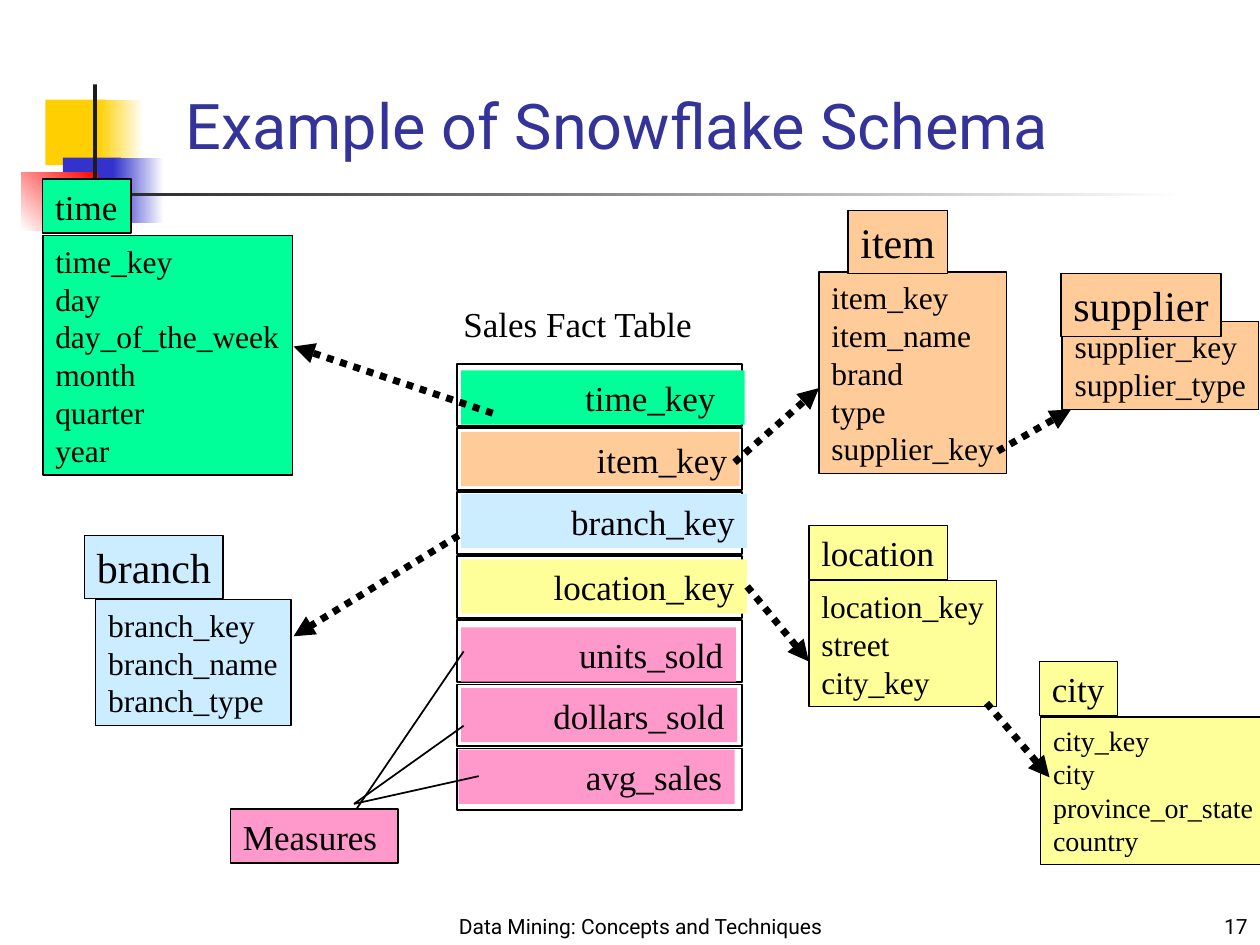
from lxml.etree import SubElement
from pptx import Presentation
from pptx.dml.color import RGBColor
from pptx.enum.dml import MSO_LINE
from pptx.enum.shapes import MSO_CONNECTOR, MSO_SHAPE
from pptx.enum.text import MSO_ANCHOR, PP_ALIGN
from pptx.oxml.ns import qn
from pptx.util import Inches, Pt

BLACK = RGBColor(0x00, 0x00, 0x00)
WHITE = RGBColor(0xFF, 0xFF, 0xFF)
CHARCOAL = RGBColor(0x1C, 0x1C, 0x1C)
NAVY = RGBColor(0x33, 0x33, 0x99)
GOLD = RGBColor(0xFF, 0xCF, 0x01)
BLUE = RGBColor(0x33, 0x33, 0xCC)
RED = RGBColor(0xFF, 0x00, 0x00)
GREEN = RGBColor(0x00, 0xFF, 0x99)
PEACH = RGBColor(0xFF, 0xCC, 0x99)
SKY = RGBColor(0xCC, 0xEC, 0xFF)
YELLOW = RGBColor(0xFF, 0xFF, 0x99)
PINK = RGBColor(0xFF, 0x99, 0xCC)
SERIF, SANS = "Times New Roman", "Roboto"


def inches(box):
    return [Inches(value) for value in box]


def write(shape, lines, size, font=SERIF, color=BLACK, align=PP_ALIGN.LEFT,
          anchor=MSO_ANCHOR.TOP, wrap=True):
    frame = shape.text_frame
    frame.text = "\n".join(lines)
    frame.word_wrap = wrap
    frame.vertical_anchor = anchor
    for para in frame.paragraphs:
        para.alignment = align
        for name, value in {"name": font, "size": Pt(size)}.items():
            setattr(para.font, name, value)
        para.font.color.rgb = color


def add_box(shapes, box, fill=None, line=None):
    """Rectangle with an optional fill colour and outline width in points."""
    shape = shapes.add_shape(MSO_SHAPE.RECTANGLE, *inches(box))
    shape.shadow.inherit = False
    if fill is None:
        shape.fill.background()
    else:
        shape.fill.solid()
        shape.fill.fore_color.rgb = fill
    if line is None:
        shape.line.fill.background()
    else:
        shape.line.color.rgb = BLACK
        shape.line.width = Pt(line)
    return shape


def add_gradient(shapes, box, colors, angle):
    shape = add_box(shapes, box)
    shape.fill.gradient()
    shape.fill.gradient_angle = angle
    for stop, color in zip(shape.fill.gradient_stops, colors):
        stop.color.rgb = color


def add_line(page, start, end, width):
    line = page.shapes.add_connector(MSO_CONNECTOR.STRAIGHT, *inches(start + end))
    line.line.color.rgb = BLACK
    line.line.width = Pt(width)
    SubElement(line._element.spPr, qn("a:effectLst"))
    return line


def add_arrow(page, start, end):
    arrow = add_line(page, start, end, 4)
    arrow.line.dash_style = MSO_LINE.ROUND_DOT
    SubElement(arrow.line._get_or_add_ln(), qn("a:tailEnd"), type="triangle")
    return arrow


def add_ornament(page, left, top):
    """Coloured squares and rules beside the title."""
    shapes = page.shapes
    add_box(shapes, (left + 0.19, top + 0.12, 0.48, 0.52), GOLD)
    add_gradient(shapes, (left + 0.61, top + 0.12, 0.36, 0.52), (WHITE, GOLD), 180)
    add_box(shapes, (left + 0.33, top + 0.58, 0.46, 0.52), BLUE)
    add_gradient(shapes, (left + 0.73, top + 0.58, 0.4, 0.52), (WHITE, BLUE), 180)
    add_gradient(shapes, (left, top + 0.7, 0.61, 0.46), (RED, WHITE), 225)
    add_box(shapes, (left + 0.57, top, 0.03, 1.15), CHARCOAL)
    add_gradient(shapes, (left + 0.22, top + 0.86, 9, 0.03), (WHITE, CHARCOAL), 180)


def add_title(page, box, text):
    title = page.shapes.title
    for name, value in zip(("left", "top", "width", "height"), inches(box)):
        setattr(title, name, value)
    write(title, [text], 36, SANS, NAVY, anchor=MSO_ANCHOR.BOTTOM)


def add_text(page, box, text, size, **style):
    write(page.shapes.add_textbox(*inches(box)), [text], size, **style)


def add_dimension(page, color, name, name_box, name_size, fields, box, size=18):
    """Dimension table: a field list with its name on top."""
    group = page.shapes.add_group_shape()
    for lines, place, points in ((fields, box, size), ([name], name_box, name_size)):
        write(add_box(group.shapes, place, color, 0.75), lines, points, wrap=False)


def add_fact_table(page, box, rows):
    """Framed rows at an equal pitch; returns the key boxes by name."""
    left, top, width, height = box
    row_height = 0.49
    pitch = (height - row_height) / (len(rows) - 1)
    keys = {}
    for index, (text, color, key_left, key_top, key_width, inset) in enumerate(rows):
        add_box(page.shapes, (left, top + index * pitch, width, row_height), line=1)
        key = add_box(page.shapes, (key_left, key_top, key_width, 0.43), color)
        write(key, [text], 20, align=PP_ALIGN.RIGHT)
        key.text_frame.margin_right = Inches(inset)
        keys[text] = key
    return keys


def add_measures(page, box):
    write(add_box(page.shapes, box, PINK, 0.75), ["Measures"], 20)
    for start, end in (((2.83, 6.42), (3.68, 5.17)),
                       ((2.81, 6.38), (3.68, 5.76)),
                       ((2.81, 6.38), (3.8, 6.16))):
        add_line(page, start, end, 1)


def main():
    deck = Presentation()
    deck.slide_width, deck.slide_height = Inches(10), Inches(7.5)
    page = deck.slides.add_slide(deck.slide_layouts[5])

    add_ornament(page, 0.17, 0.67)
    add_title(page, (1.37, 0.86, 7.9, 0.48), "Example of Snowflake Schema")

    # Fact table: text, colour, left, top, width, right inset
    add_text(page, (3.58, 2.35, 2.04, 0.43), "Sales Fact Table", 20, wrap=False)
    keys = add_fact_table(page, (3.63, 2.89, 2.26, 3.54), (
        ("time_key", GREEN, 3.66, 2.94, 2.25, 0.23),
        ("item_key", PEACH, 3.66, 3.43, 2.21, 0.1),
        ("branch_key", SKY, 3.66, 3.92, 2.27, 0.1),
        ("location_key", YELLOW, 3.66, 4.44, 2.27, 0.1),
        ("units_sold", PINK, 3.66, 4.98, 2.18, 0.1),
        ("dollars_sold", PINK, 3.66, 5.46, 2.19, 0.1),
        ("avg_sales", PINK, 3.64, 5.95, 2.19, 0.1),
    ))
    add_measures(page, (1.83, 6.42, 1.33, 0.43))

    # Dimension tables
    add_dimension(page, GREEN, "time", (0.34, 1.42, 0.7, 0.43), 20,
                  ["time_key", "day", "day_of_the_week", "month", "quarter", "year"],
                  (0.34, 1.87, 1.98, 1.9))
    add_dimension(page, YELLOW, "location", (6.42, 4.17, 1.1, 0.43), 20,
                  ["location_key", "street", "city_key"], (6.42, 4.61, 1.49, 1))
    add_dimension(page, PEACH, "item", (6.73, 1.67, 0.79, 0.5), 24,
                  ["item_key", "item_name", "brand", "type", "supplier_key"],
                  (6.5, 2.16, 1.49, 1.6))
    add_dimension(page, SKY, "branch", (0.67, 4.25, 1.1, 0.5), 24,
                  ["branch_key", "branch_name", "branch_type"], (0.76, 4.76, 1.55, 1))
    add_dimension(page, PEACH, "supplier", (8.42, 2.17, 1.27, 0.5), 24,
                  ["supplier_key", "supplier_type"], (8.43, 2.55, 1.56, 0.7))
    add_dimension(page, YELLOW, "city", (8.25, 5.25, 0.62, 0.43), 20,
                  ["city_key", "city", "province_or_state", "country"],
                  (8.26, 5.69, 1.79, 1.17), 16)

    # Arrows from keys to the tables they refer to
    for start, end in (((3.64, 4.25), (2.33, 5.05)),
                       ((3.91, 3.28), (2.33, 2.75)),
                       ((5.83, 3.67), (6.5, 3.08)),
                       ((7.92, 3.58), (8.5, 3.25)),
                       ((7.83, 5.58), (8.33, 6.17))):
        add_arrow(page, start, end)
    location_arrow = add_arrow(page, (5.92, 4.67), (6.42, 5.25))
    location_arrow.begin_connect(keys["location_key"], 3)

    # Footer
    footer = {"font": SANS, "anchor": MSO_ANCHOR.BOTTOM}
    add_text(page, (3.5, 6.92, 3.17, 0.58), "Data Mining: Concepts and Techniques", 12,
             align=PP_ALIGN.CENTER, **footer)
    add_text(page, (7.92, 7, 2.08, 0.5), "17", 12, align=PP_ALIGN.RIGHT, **footer)

    deck.save("out.pptx")


if __name__ == "__main__":
    main()
